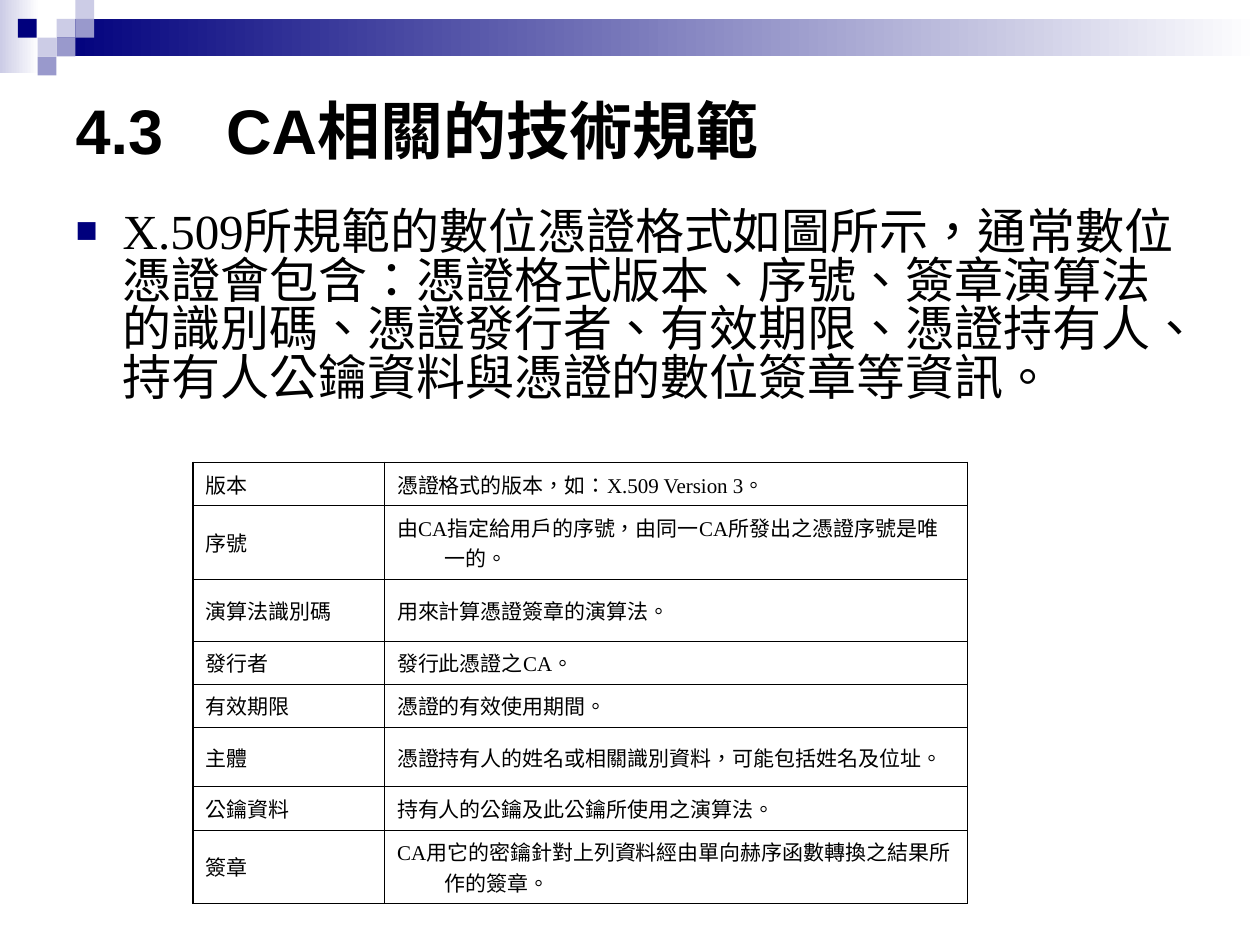
"""Build the slide on CA technical specifications with the X.509 certificate field table."""
from lxml.etree import SubElement
from pptx import Presentation
from pptx.dml.color import RGBColor
from pptx.enum.lang import MSO_LANGUAGE_ID
from pptx.enum.shapes import MSO_SHAPE
from pptx.enum.text import MSO_ANCHOR, MSO_AUTO_SIZE, PP_ALIGN
from pptx.oxml.ns import qn
from pptx.util import Cm, Pt

NAVY, LAVENDER, PERIWINKLE = "00007D", "CCCCE6", "9999CC"
HANGING = Cm(0.95)


def color(hex_string):
    return RGBColor.from_string(hex_string)


def style(paragraph, size, name, bold=False):
    font = paragraph.font
    font.size, font.name, font.bold = Pt(size), name, bold
    font.color.rgb = color("000000")
    font.language_id = MSO_LANGUAGE_ID.TRADITIONAL_CHINESE
    paragraph.alignment = PP_ALIGN.LEFT


deck = Presentation()
deck.slide_width, deck.slide_height = Cm(25.4), Cm(19.05)
slide = deck.slides.add_slide(deck.slide_layouts[1])

tile = 0.38
header = [
    (0, 0, 0.79, 1.47, LAVENDER, True),
    (1.14, 0.38, 24.26, 0.76, NAVY, True),
    (1.14, 0.38, tile, tile, LAVENDER, False),
    (1.52, 0, tile, tile, LAVENDER, False),
    (1.52, 0.38, tile, tile, PERIWINKLE, False),
    (0.76, 0.76, tile, tile, LAVENDER, False),
    (0.36, 0.38, tile, tile, NAVY, False),
    (1.14, 0.76, tile, tile, PERIWINKLE, False),
    (0.76, 1.14, tile, tile, PERIWINKLE, False),
]
for left, top, width, height, tint, fades in header:
    block = slide.shapes.add_shape(
        MSO_SHAPE.RECTANGLE, Cm(left), Cm(top), Cm(width), Cm(height))
    block.shadow.inherit = False
    block.line.fill.background()
    if fades:
        block.fill.gradient()
        block.fill.gradient_angle = 0
        for stop, shade in zip(block.fill.gradient_stops, (tint, "FFFFFF")):
            stop.color.rgb = color(shade)
    else:
        block.fill.solid()
        block.fill.fore_color.rgb = color(tint)

heading = slide.shapes.title
heading.left, heading.top, heading.width, heading.height = Cm(1.27), Cm(1.27), Cm(22.86), Cm(2.67)
heading.text_frame.text = "4.3\u3000CA相關的技術規範".replace("\u3000", "　")
heading.text_frame.vertical_anchor = MSO_ANCHOR.MIDDLE
heading.text_frame.auto_size = MSO_AUTO_SIZE.NONE
style(heading.text_frame.paragraphs[0], 36, "Arial", bold=True)

summary = slide.placeholders[1]
summary.left, summary.top, summary.width, summary.height = Cm(1.27), Cm(4.11), Cm(23.04), Cm(12.17)
summary.text_frame.text = (
    "X.509所規範的數位憑證格式如圖所示，通常數位憑證會包含：憑證格式版本、序號、"
    "簽章演算法的識別碼、憑證發行者、有效期限、憑證持有人、持有人公鑰資料與憑證的數位簽章等資訊。")
summary.text_frame.auto_size = MSO_AUTO_SIZE.NONE
point = summary.text_frame.paragraphs[0]
point_format = point._p.get_or_add_pPr()
point_format.set("marL", str(HANGING))
point_format.set("indent", str(-HANGING))
SubElement(SubElement(point_format, qn("a:buClr")), qn("a:srgbClr"), val=NAVY)
SubElement(point_format, qn("a:buSzPct"), val="75000")
SubElement(point_format, qn("a:buFont"), typeface="Arial")
SubElement(point_format, qn("a:buChar"), char="■")
point.space_before = Pt(7)
point.line_spacing = 0.83
style(point, 28, "Times New Roman")

fields = [
    ("版本", "憑證格式的版本，如：X.509 Version 3。", 0.77),
    ("序號", "由CA指定給用戶的序號，由同一CA所發出之憑證序號是唯一的。", 1.26),
    ("演算法識別碼", "用來計算憑證簽章的演算法。", 1.25),
    ("發行者", "發行此憑證之CA。", 0.77),
    ("有效期限", "憑證的有效使用期間。", 0.77),
    ("主體", "憑證持有人的姓名或相關識別資料，可能包括姓名及位址。", 1.2),
    ("公鑰資料", "持有人的公鑰及此公鑰所使用之演算法。", 0.77),
    ("簽章", "CA用它的密鑰針對上列資料經由單向赫序函數轉換之結果所作的簽章。", 1.26),
]
certificate = slide.shapes.add_table(
    len(fields), 2, Cm(3.89), Cm(9.32), Cm(15.61), Cm(8.05)).table
certificate.first_row = certificate.horz_banding = False
certificate.columns[0].width, certificate.columns[1].width = Cm(3.86), Cm(11.75)

for row, (field, meaning, height) in enumerate(fields):
    certificate.rows[row].height = Cm(height)
    for column, words in enumerate((field, meaning)):
        cell = certificate.cell(row, column)
        cell.text = words
        cell.vertical_anchor = MSO_ANCHOR.MIDDLE
        entry = cell.text_frame.paragraphs[0]
        entry_format = entry._p.get_or_add_pPr()
        entry_format.set("marL", str(HANGING))
        entry_format.set("indent", str(-HANGING))
        style(entry, 12, "Times New Roman")
        outer_edges = {"a:lnL": column == 0, "a:lnR": column == 1,
                       "a:lnT": row == 0, "a:lnB": row == len(fields) - 1}
        for edge, is_outer in outer_edges.items():
            border = SubElement(cell._tc.get_or_add_tcPr(), qn(edge),
                                w=str(Pt(0.96 if is_outer else 0.45)))
            SubElement(SubElement(border, qn("a:solidFill")), qn("a:srgbClr"), val="000000")
        cell.fill.background()

deck.save("out.pptx")
